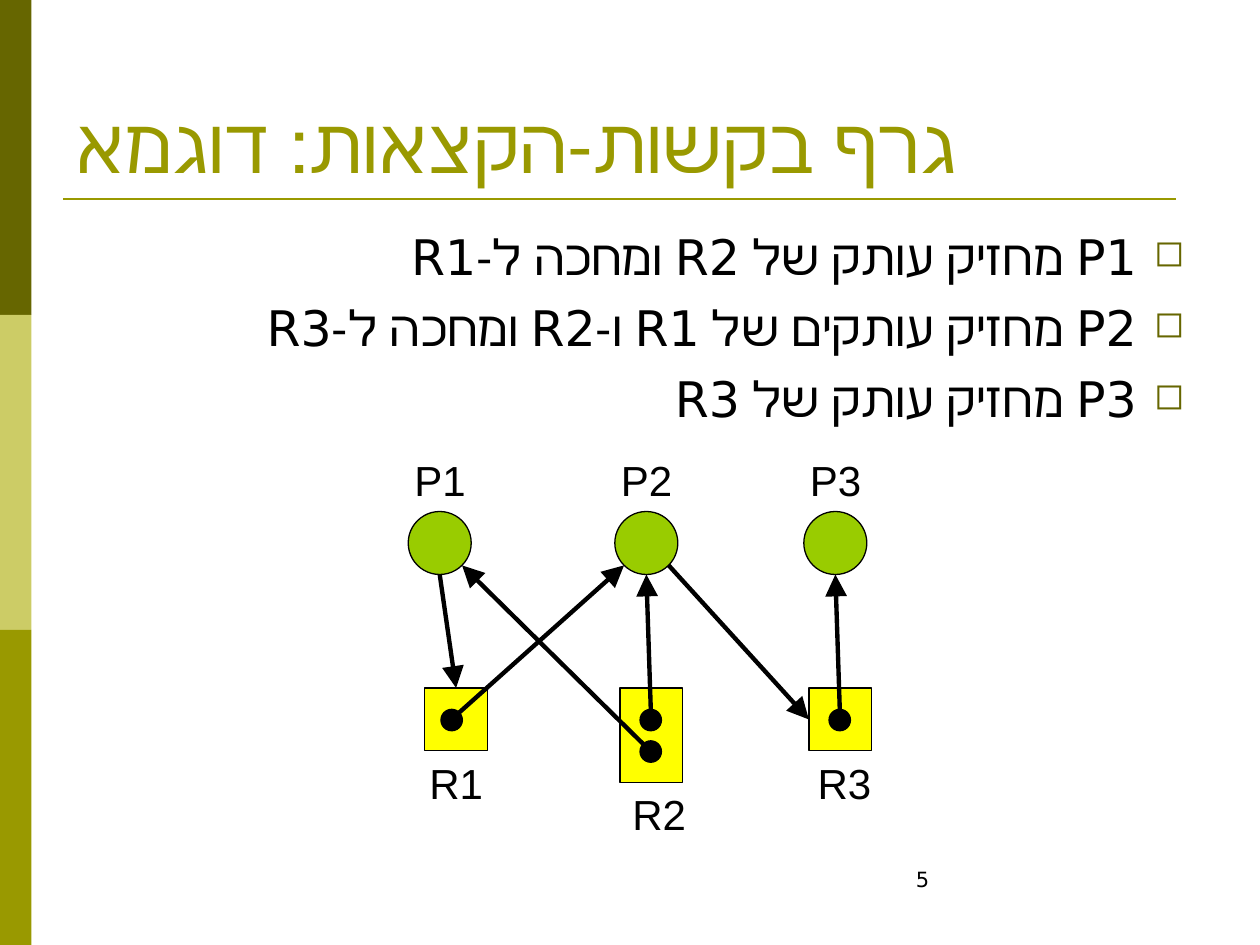
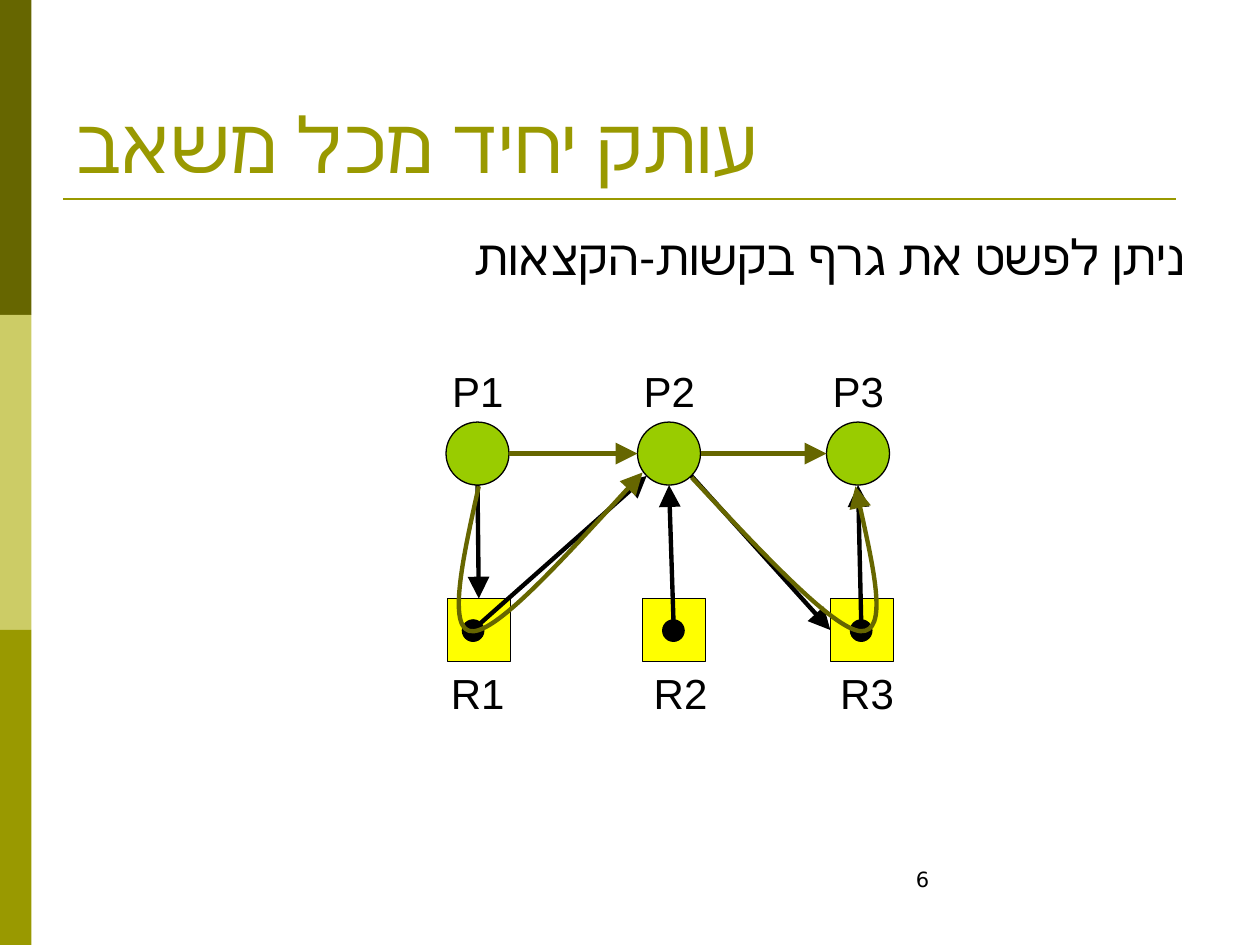
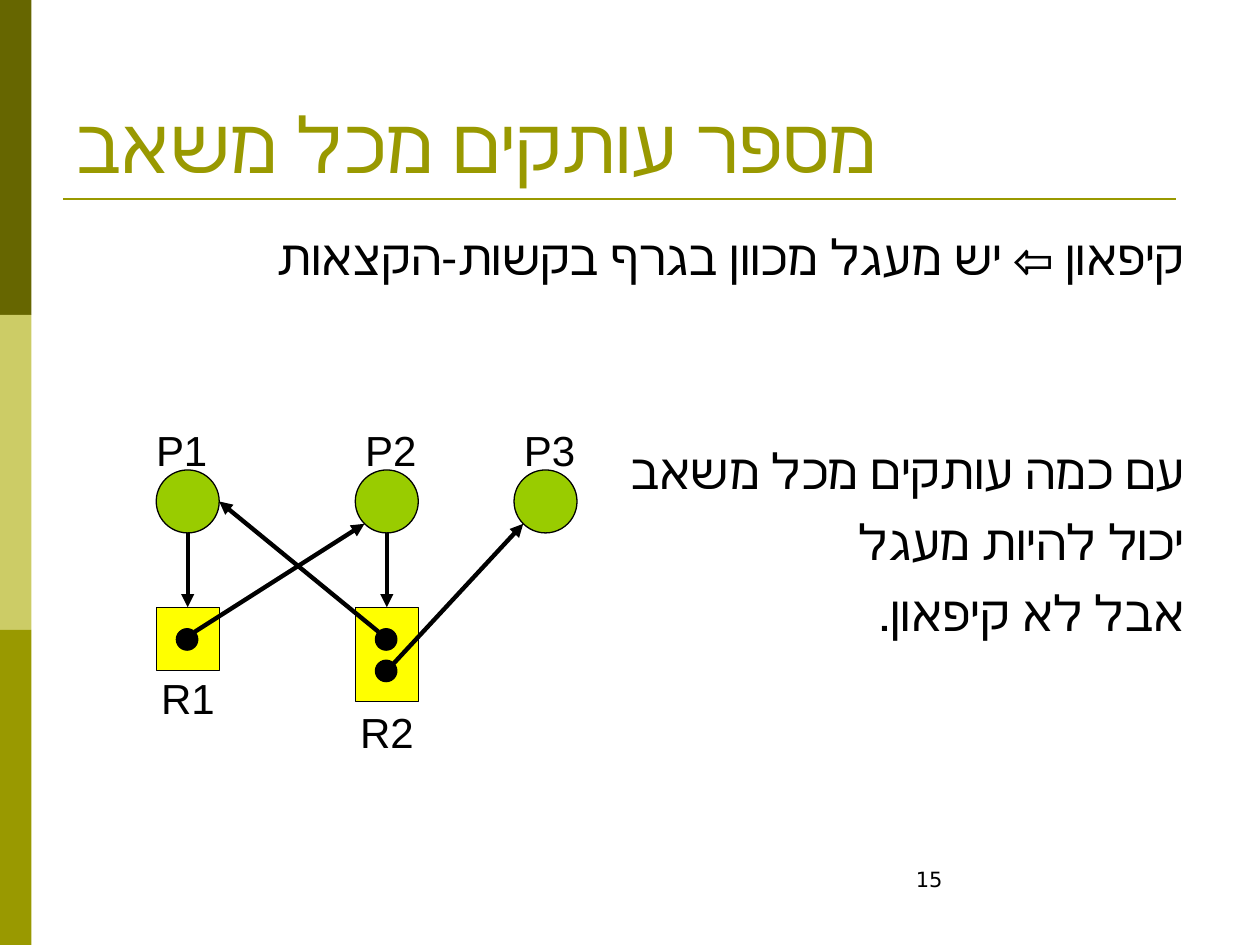
"""Build three Hebrew slides on resource allocation graphs."""
from dataclasses import dataclass

from lxml import etree
from pptx import Presentation
from pptx import slide as sl
from pptx import util as u
from pptx.dml import color
from pptx.enum import shapes, text
from pptx.oxml import ns
from pptx.shapes import base
from pptx.text import text as tx

HUES = {"dark": "666600", "pale": "CCCC66", "olive": "999900", "green": "99CC00",
        "yellow": "FFFF00", "black": "000000"}
SANS, SERIF, ARIAL = "DejaVu Sans", "Times New Roman", "Arial"
KIND = shapes.MSO_SHAPE
SIZE, DOT, STEP, DIAG = 0.5, 0.17, 0.25, 0.71
SIDES = {"n": (0, -1), "s": (0, 1), "w": (-1, 0), "e": (1, 0),
         "nw": (-DIAG, -DIAG), "ne": (DIAG, -DIAG),
         "sw": (-DIAG, DIAG), "se": (DIAG, DIAG)}
SITES = {"n": 0, "w": 1, "s": 2, "e": 3}


@dataclass
class Para:
    """A body line as (text, font) runs, with its space before."""
    runs: list[tuple[str, str]]
    gap: float = 7


@dataclass
class Proc:
    """A process circle; dx shifts its label."""
    name: str
    x: float
    dx: float = -0.05


@dataclass
class Box:
    """A resource box with its dots; dx and dy shift its label."""
    name: str
    x: float
    dx: float
    dots: int = 1
    inset: float = 0.16
    dy: float = 0


@dataclass
class Arrow:
    """An arrow between the sides of two named shapes."""
    start: str
    out: str
    end: str
    into: str
    hue: str = "black"


@dataclass
class Page:
    """All that differs from slide to slide."""
    number: str
    title: str
    body: list[Para]
    top: float
    low: float
    procs: list[Proc]
    boxes: list[Box]
    arrows: list[Arrow]
    curves: list[list[tuple[float, float]]]
    bullet: bool = False
    head: str = "lg"
    lift: float = 0.5


PAGES = [
    Page("5", "גרף בקשות-הקצאות: דוגמא",
         [Para([("P1 מחזיק עותק של R2 ומחכה ל-R1", SANS)]),
          Para([("P2 מחזיק עותקים של R1 ו-R2 ומחכה ל-R3", SANS)]),
          Para([("P3 מחזיק עותק של R3", SANS)])],
         4.06, 5.46,
         [Proc("P1", 3.24), Proc("P2", 4.88), Proc("P3", 6.38)],
         [Box("R1", 3.37, -0.06, inset=0.13), Box("R2", 4.92, 0, dots=2),
          Box("R3", 6.42, -0.03)],
         [Arrow("P1", "s", "R1", "n"), Arrow("R2b", "nw", "P1", "se"),
          Arrow("R2a", "n", "P2", "s"), Arrow("R1a", "ne", "P2", "sw"),
          Arrow("P2", "se", "R3", "w"), Arrow("R3a", "n", "P3", "s")],
         [], bullet=True),
    Page("6", "עותק יחיד מכל משאב",
         [Para([("ניתן לפשט את גרף בקשות-הקצאות", SANS)])],
         3.35, 4.75,
         [Proc("P1", 3.54), Proc("P2", 5.06), Proc("P3", 6.56)],
         [Box("R1", 3.55, -0.07, inset=0.12), Box("R2", 5.1, -0.01),
          Box("R3", 6.59, -0.02)],
         [Arrow("P1", "s", "R1", "n"), Arrow("R2a", "n", "P2", "s"),
          Arrow("R1a", "ne", "P2", "sw"), Arrow("P2", "se", "R3", "w"),
          Arrow("R3a", "n", "P3", "s"), Arrow("P1", "e", "P2", "w", "dark"),
          Arrow("P2", "e", "P3", "w", "dark")],
         [[(3.8, 3.86), (3.67, 4.44), (3.54, 5.03), (3.76, 5.01),
           (3.97, 4.99), (4.53, 4.37), (5.1, 3.75)],
          [(5.49, 3.79), (6.05, 4.39), (6.61, 4.99), (6.83, 5.01),
           (7.05, 5.02), (6.92, 4.44), (6.79, 3.86)]]),
    Page("15", "מספר עותקים מכל משאב",
         [Para([("קיפאון ", SANS), ("⇦", SERIF),
                (" יש מעגל מכוון בגרף בקשות-הקצאות", SANS)]),
          Para([("עם כמה עותקים מכל משאב", SANS)], gap=88.5),
          Para([("יכול להיות מעגל", SANS)]),
          Para([("אבל לא קיפאון.", SANS)])],
         3.73, 4.82,
         [Proc("P1", 1.24, -0.1), Proc("P2", 2.82, -0.02), Proc("P3", 4.08, -0.02)],
         [Box("R1", 1.24, -0.06, dy=-0.03), Box("R2", 2.82, -0.06, dots=2, dy=-0.01)],
         [Arrow("P1", "s", "R1", "n"), Arrow("R2b", "ne", "P3", "sw"),
          Arrow("R2a", "nw", "P1", "e"), Arrow("R1a", "ne", "P2", "sw"),
          Arrow("P2", "s", "R2", "n")],
         [], head="med", lift=0.41),
]


def rgb(hue: str) -> color.RGBColor:
    """Look up a colour by its name."""
    return color.RGBColor.from_string(HUES[hue])


def add_tag(root: etree.ElementBase, tag: str, **attrs: str) -> etree.ElementBase:
    """Append a drawing element to its parent."""
    return etree.SubElement(root, ns.qn(tag), attrs)


def add_form(slide: sl.Slide, kind: KIND, x: float, y: float, w: float, h: float,
             hue: str, edge: bool = True) -> base.BaseShape:
    """Draw a filled shape, with a thin black edge if asked."""
    form = slide.shapes.add_shape(kind, *map(u.Inches, (x, y, w, h)))
    form.shadow.inherit = False
    form.fill.solid()
    form.fill.fore_color.rgb = rgb(hue)
    if edge:
        form.line.color.rgb = rgb("black")
        form.line.width = u.Pt(0.75)
    else:
        form.line.fill.background()
    return form


def add_box(slide: sl.Slide, x: float, y: float, w: float, h: float,
            wrap: bool = True) -> tx.TextFrame:
    """Add a text box and return its frame."""
    frame = slide.shapes.add_textbox(*map(u.Inches, (x, y, w, h))).text_frame
    frame.word_wrap = wrap
    if not wrap:
        frame.auto_size = text.MSO_AUTO_SIZE.SHAPE_TO_FIT_TEXT
    return frame


def add_run(para: tx._Paragraph, words: str, face: str, size: float,
            hue: str = "black") -> None:
    """Add a styled run of text."""
    run = para.add_run()
    run.text = words
    run.font.size = u.Pt(size)
    run.font.color.rgb = rgb(hue)
    run.font.name = face


def set_line(form: base.BaseShape, hue: str, width: float, head: str = "") -> None:
    """Style a line and give it an arrowhead of the named size."""
    form.line.color.rgb = rgb(hue)
    form.line.width = u.Pt(width)
    if head:
        edge = form.element.spPr.find(ns.qn("a:ln"))
        add_tag(edge, "a:tailEnd", type="triangle", w=head, len=head)


def add_line(slide: sl.Slide, start: tuple[int, int], end: tuple[int, int],
             hue: str, width: float, head: str = "") -> base.BaseShape:
    """Draw a straight line without a shadow."""
    line = slide.shapes.add_connector(shapes.MSO_CONNECTOR.STRAIGHT, *start, *end)
    set_line(line, hue, width, head)
    add_tag(line.element.spPr, "a:effectLst")
    return line


def add_curve(slide: sl.Slide, points: list[tuple[float, float]], head: str) -> None:
    """Draw an open curve through groups of three Bezier points."""
    first, *rest = [(u.Inches(x), u.Inches(y)) for x, y in points]
    maker = slide.shapes.build_freeform(*first)
    maker.add_line_segments(rest, close=False)
    form = maker.convert_to_shape()
    form.shadow.inherit = False
    form.fill.background()
    set_line(form, "dark", 2.5, head)
    parts = list(form.element.iter(ns.qn("a:lnTo")))
    root = parts[0].getparent()
    for i in range(0, len(parts), 3):
        bend = add_tag(root, "a:cubicBezTo")
        for part in parts[i:i + 3]:
            bend.append(part[0])
            root.remove(part)


def spot(form: base.BaseShape, side: str) -> tuple[int, int]:
    """Find the point on a side of a shape."""
    dx, dy = SIDES[side]
    return (round(form.left + form.width * (1 + dx) / 2),
            round(form.top + form.height * (1 + dy) / 2))


def add_frame(slide: sl.Slide, page: Page) -> None:
    """Draw the side bands, rule, title and page number."""
    for i, hue in enumerate(("dark", "pale", "olive")):
        add_form(slide, KIND.RECTANGLE, 0, 2.5 * i, 0.25, 2.5, hue, edge=False)
    add_line(slide, (u.Inches(0.5), u.Inches(1.58)),
             (u.Inches(9.33), u.Inches(1.58)), "olive", 1.5)
    frame = add_box(slide, 0.5, 0.3, 9, 1.25)
    frame.vertical_anchor = text.MSO_ANCHOR.BOTTOM
    para = frame.paragraphs[0]
    para.alignment = text.PP_ALIGN.LEFT
    para._p.get_or_add_pPr().set("rtl", "1")
    add_run(para, page.title, SERIF, 44, "olive")
    add_run(add_box(slide, 7.17, 6.83, 2.33, 0.5).paragraphs[0], page.number, SANS, 12)


def add_body(slide: sl.Slide, page: Page) -> None:
    """Write the right-to-left body lines."""
    frame = add_box(slide, 0.5, 1.75, 9, 4.95)
    for i, item in enumerate(page.body):
        para = frame.add_paragraph() if i else frame.paragraphs[0]
        para.alignment = text.PP_ALIGN.RIGHT
        props = para._p.get_or_add_pPr()
        props.set("rtl", "1")
        props.set("marL", str(u.Inches(0.38)))
        props.set("indent", str(u.Inches(-0.38)))
        if page.bullet:
            add_tag(add_tag(props, "a:buClr"), "a:srgbClr", val=HUES["dark"])
            add_tag(props, "a:buSzPct", val="75000")
            add_tag(props, "a:buChar", char="◻")
        if i:
            para.space_before = u.Pt(item.gap)
        for words, face in item.runs:
            add_run(para, words, face, 28)


def add_graph(slide: sl.Slide, page: Page) -> None:
    """Draw the processes, resources, arrows and labels."""
    forms: dict[str, base.BaseShape] = {}
    labels: list[tuple[str, float, float]] = []
    for proc in page.procs:
        forms[proc.name] = add_form(slide, KIND.OVAL, proc.x, page.top, SIZE, SIZE, "green")
        labels.append((proc.name, proc.x + proc.dx, page.top - page.lift))
    for box in page.boxes:
        tall = SIZE + STEP * (box.dots - 1)
        forms[box.name] = add_form(slide, KIND.RECTANGLE, box.x, page.low, SIZE, tall, "yellow")
        labels.append((box.name, box.x + box.dx, page.low + tall + box.dy))
        for i in range(box.dots):
            forms[box.name + "ab"[i]] = add_form(
                slide, KIND.OVAL, box.x + box.inset, page.low + 0.17 + STEP * i,
                DOT, DOT, "black")
    for item in page.arrows:
        end = forms[item.end]
        line = add_line(slide, spot(forms[item.start], item.out), spot(end, item.into),
                        item.hue, 2.5, page.head)
        if end.auto_shape_type == KIND.RECTANGLE:
            line.end_connect(end, SITES[item.into])
    for name, x, y in labels:
        add_run(add_box(slide, x, y, 0.63, 0.5, wrap=False).paragraphs[0], name, ARIAL, 24)
    for points in page.curves:
        add_curve(slide, points, page.head)


def main() -> None:
    """Build and save the slides."""
    deck = Presentation()
    deck.slide_width, deck.slide_height = u.Inches(10), u.Inches(7.5)
    for page in PAGES:
        slide = deck.slides.add_slide(deck.slide_layouts[6])
        add_frame(slide, page)
        add_body(slide, page)
        add_graph(slide, page)
    deck.save("out.pptx")


if __name__ == "__main__":
    main()
